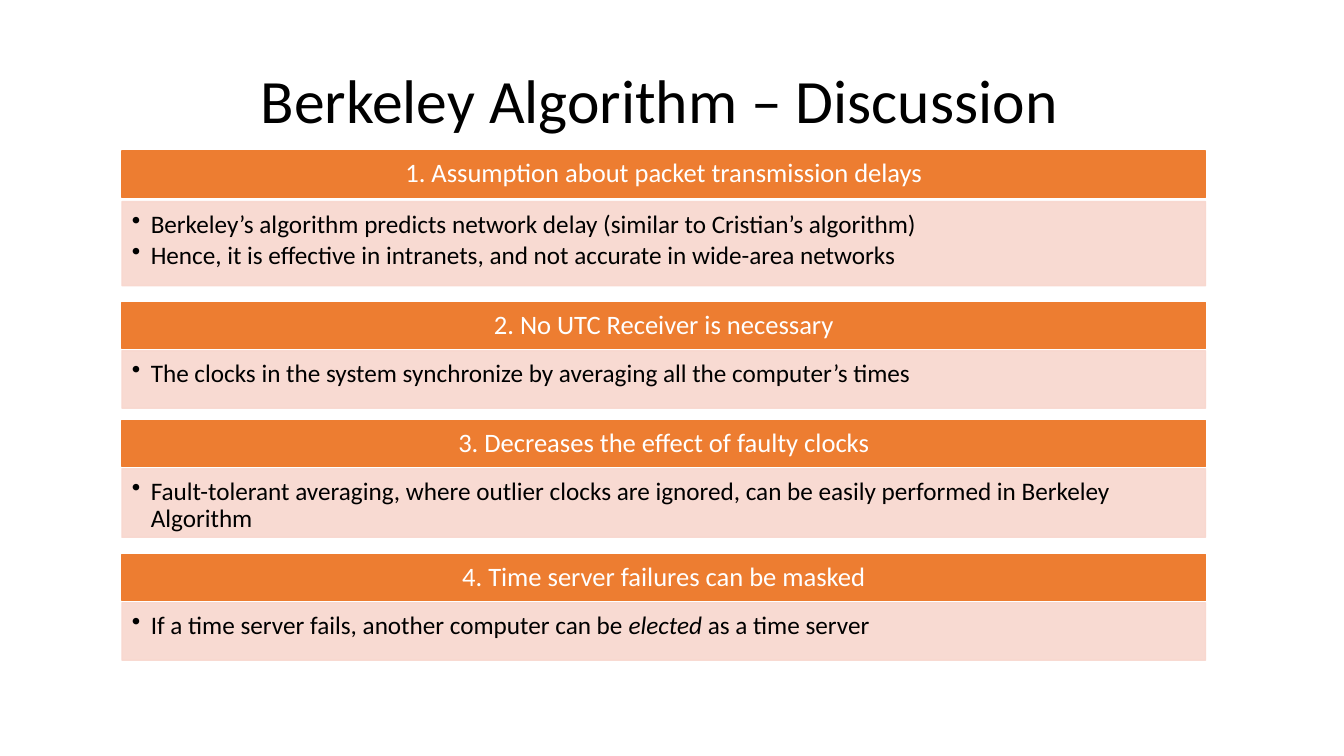
from pptx import Presentation
from pptx.dml.color import RGBColor
from pptx.enum.shapes import MSO_SHAPE as Shape
from pptx.enum.text import MSO_ANCHOR as Anchor, PP_ALIGN as Align
from pptx.oxml.ns import qn
from pptx.util import Pt
from lxml.etree import SubElement

FONT = "Calibri"
ORANGE, PINK, WHITE, BLACK = "ED7D31", "F8D7CE", "FFFFFF", "000000"
LEFT, WIDTH, HEADER_HEIGHT = 87.12, 774, 33.12

# Each section: header top, body top, body height, header, bullets made of (text, italic) runs.
SECTIONS = [
    (108, 144, 60, "1. Assumption about packet transmission delays", [
        [("Berkeley’s algorithm predicts network delay (similar to Cristian’s algorithm)", False)],
        [("Hence, it is effective in intranets, and not accurate in wide-area networks", False)],
    ]),
    (216, 250.56, 41, "2. No UTC Receiver is necessary", [
        [("The clocks in the system synchronize by averaging all the computer’s times", False)],
    ]),
    (300.24, 334.8, 49, "3. Decreases the effect of faulty clocks", [
        [("Fault-tolerant averaging, where outlier clocks are ignored, "
          "can be easily performed in Berkeley Algorithm", False)],
    ]),
    (396, 430.56, 41, "4. Time server failures can be masked", [
        [("If a time server fails, another computer can be ", False),
         ("elected", True),
         (" as a time server", False)],
    ]),
]


def rgb(color):
    """Turn a hex string into a colour."""
    return RGBColor.from_string(color)


def set_frame(tf, anchor, left, top, right, bottom):
    """Set wrapping, anchor and insets of a text frame."""
    tf.word_wrap = True
    tf.vertical_anchor = anchor
    tf.margin_left, tf.margin_top = Pt(left), Pt(top)
    tf.margin_right, tf.margin_bottom = Pt(right), Pt(bottom)


def style_paragraph(p, size, color, align):
    """Set the font, alignment and line spacing of a paragraph."""
    p.alignment = align
    p.line_spacing = 0.9
    p.font.name, p.font.size = FONT, Pt(size)
    p.font.color.rgb = rgb(color)


def add_bullet(p, indent):
    """Give a paragraph a round bullet with a hanging indent."""
    pPr = p._p.get_or_add_pPr()
    pPr.set("marL", str(Pt(indent)))
    pPr.set("indent", str(-Pt(indent)))
    bullet = pPr.makeelement(qn("a:buChar"), {"char": "•"})
    pPr.find(qn("a:defRPr")).addprevious(bullet)


def add_bar(slide, top, height, color, opacity=100):
    """Draw a full-width rectangle and return it."""
    s = slide.shapes.add_shape(Shape.RECTANGLE, Pt(LEFT), Pt(top), Pt(WIDTH), Pt(height))
    s.shadow.inherit = False
    s.fill.solid()
    s.fill.fore_color.rgb = rgb(color)
    s.line.color.rgb = rgb(color)
    s.line.width = Pt(1)
    if opacity < 100:
        for clr in s._element.spPr.iter(qn("a:srgbClr")):
            SubElement(clr, qn("a:alpha"), val=str(opacity * 1000))
    return s


def add_title(slide, text):
    """Add the centred slide title."""
    tf = slide.shapes.add_textbox(Pt(138.24), Pt(21.6), Pt(666), Pt(104.4)).text_frame
    set_frame(tf, Anchor.MIDDLE, 7.2, 3.6, 7.2, 3.6)
    p = tf.paragraphs[0]
    p.text = text
    style_paragraph(p, 44, BLACK, Align.CENTER)


def add_header(slide, top, text):
    """Add an orange section header."""
    tf = add_bar(slide, top, HEADER_HEIGHT, ORANGE).text_frame
    set_frame(tf, Anchor.MIDDLE, 10.8, 5.8, 10.8, 5.8)
    p = tf.paragraphs[0]
    p.text = text
    style_paragraph(p, 19, WHITE, Align.CENTER)


def add_body(slide, top, height, bullets):
    """Add a pale section body with its bullets."""
    tf = add_bar(slide, top, height, PINK, 90).text_frame
    set_frame(tf, Anchor.TOP, 7.2, 7.2, 10.1, 0)
    for i, runs in enumerate(bullets):
        p = tf.add_paragraph() if i else tf.paragraphs[0]
        style_paragraph(p, 18, BLACK, Align.LEFT)
        p.space_after = Pt(2.7)
        add_bullet(p, 13.5)
        for text, italic in runs:
            r = p.add_run()
            r.text = text
            if italic:
                r.font.italic = True


def main():
    """Build the slide and save it."""
    prs = Presentation()
    prs.slide_width, prs.slide_height = Pt(960), Pt(540)
    slide = prs.slides.add_slide(prs.slide_layouts[6])
    add_title(slide, "Berkeley Algorithm – Discussion")
    for header_top, body_top, body_height, header, bullets in SECTIONS:
        add_header(slide, header_top, header)
        add_body(slide, body_top, body_height, bullets)
    prs.save("out.pptx")


if __name__ == "__main__":
    main()
